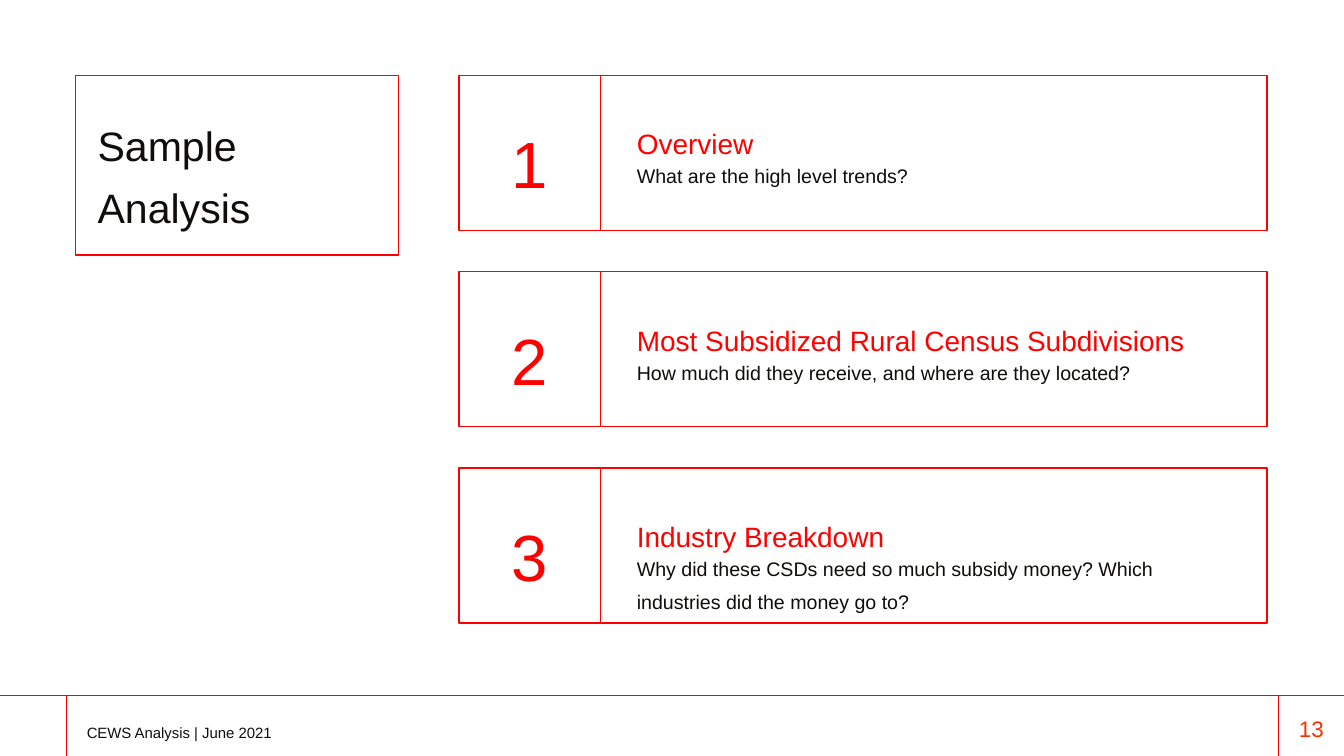
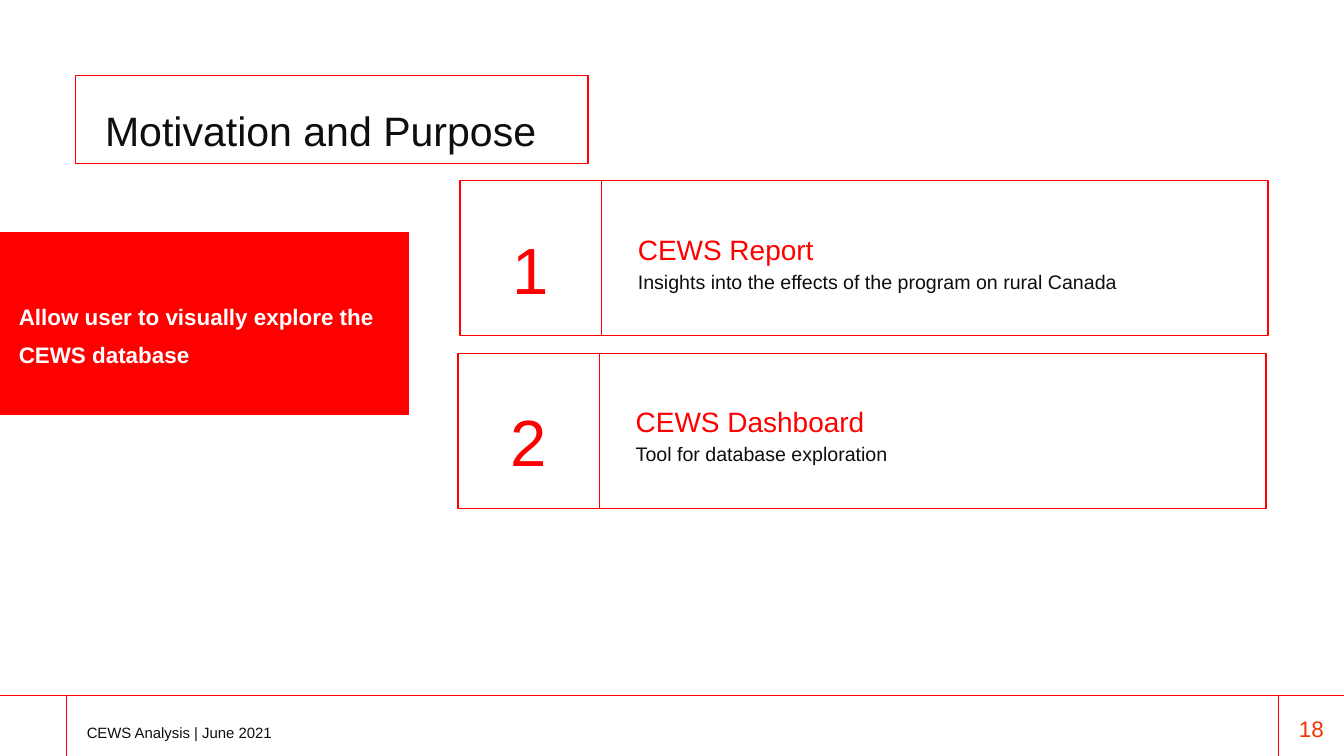
from dataclasses import dataclass

from lxml import etree
from pptx import Presentation
from pptx.dml.color import RGBColor
from pptx.enum.shapes import MSO_CONNECTOR, MSO_SHAPE
from pptx.enum.text import MSO_AUTO_SIZE, PP_ALIGN
from pptx.oxml.ns import qn
from pptx.util import Cm, Pt

# Shared look, lengths in centimetres
SLIDE_W, SLIDE_H = 50.8, 28.58
FONT = "Arial"
RED, ORANGE, INK, WHITE = "FF0000", "F43300", "0F0E0C", "FFFFFF"
FRAME_PT, RULE_PT = 1.75, 1.25
MARGIN = 2.85

# Card geometry
CARD_H, NUMBER_W, BODY_W = 5.86, 5.34, 25.2
TEXT_DX = 6.71

# Footer geometry
FOOTER_Y, FOOTER_LEFT, FOOTER_RIGHT = 26.28, 2.5, 48.32


@dataclass
class Title:
    text: str
    width: float
    height: float
    pad_x: float
    pad_y: float
    text_w: float
    text_h: float


@dataclass
class Card:
    heading: str
    detail: str
    detail_h: float = 0.9
    shift: float = 0


def color(value: str) -> RGBColor:
    return RGBColor.from_string(value)


def add_text(s, text: str, x: float, y: float, w: float, h: float, *, size: float,
             fill: str = INK, bold: bool = False, align=PP_ALIGN.LEFT, spacing: float = 1.0):
    tf = s.shapes.add_textbox(Cm(x), Cm(y), Cm(w), Cm(h)).text_frame
    tf.word_wrap = True
    tf.auto_size = MSO_AUTO_SIZE.SHAPE_TO_FIT_TEXT
    tf.margin_left = tf.margin_right = tf.margin_top = tf.margin_bottom = 0
    p = tf.paragraphs[0]
    p.alignment = align
    p.line_spacing = spacing
    r = p.add_run()
    r.text = text
    r.font.name, r.font.size, r.font.bold = FONT, Pt(size), bold
    r.font.color.rgb = color(fill)


def add_box(s, x: float, y: float, w: float, h: float, fill: str | None = None):
    """Red rectangle: an open frame unless a fill is given."""
    sp = s.shapes.add_shape(MSO_SHAPE.RECTANGLE, Cm(x), Cm(y), Cm(w), Cm(h))
    sp.shadow.inherit = False
    if fill:
        sp.fill.solid()
        sp.fill.fore_color.rgb = color(fill)
    else:
        sp.fill.background()
    sp.line.color.rgb = color(RED)
    sp.line.width = Pt(0.75 if fill else FRAME_PT)


def add_rule(s, x1: float, y1: float, x2: float, y2: float):
    line = s.shapes.add_connector(MSO_CONNECTOR.STRAIGHT, Cm(x1), Cm(y1), Cm(x2), Cm(y2))
    line.line.color.rgb = color(RED)
    line.line.width = Pt(RULE_PT)
    etree.SubElement(line._element.spPr, qn("a:effectLst"))


def add_title(s, title: Title):
    add_box(s, MARGIN, MARGIN, title.width, title.height)
    add_text(s, title.text, MARGIN + title.pad_x, MARGIN + title.pad_y,
             title.text_w, title.text_h, size=44, spacing=1.25)


def add_cards(s, cards: list[Card], x: float, y: float, pitch: float):
    for i, card in enumerate(cards):
        left, top = x + card.shift, y + i * pitch
        add_box(s, left + NUMBER_W, top, BODY_W, CARD_H)
        add_box(s, left, top, NUMBER_W, CARD_H)
        add_text(s, str(i + 1), left + 0.86, top + 1.82, 3.63, 3,
                 size=70, fill=RED, align=PP_ALIGN.CENTER)
        add_text(s, card.heading, left + TEXT_DX, top + 1.57, 22.45, 1.27,
                 size=30, fill=RED, spacing=1.3)
        add_text(s, card.detail, left + TEXT_DX, top + 3.01, 22.45, card.detail_h,
                 size=21, spacing=1.4)


def add_footer(s, number: int):
    add_rule(s, 0, FOOTER_Y, SLIDE_W, FOOTER_Y)
    for x in (FOOTER_LEFT, FOOTER_RIGHT):
        add_rule(s, x, FOOTER_Y, x, SLIDE_H)
    add_text(s, "CEWS Analysis | June 2021", 3.28, 27.08, 27.1, 0.71, size=16, spacing=1.4)
    add_text(s, str(number), 48.84, 27.03, 1.45, 1.02,
             size=24, fill=ORANGE, align=PP_ALIGN.CENTER)


def add_slide(prs, title: Title, number: int):
    s = prs.slides.add_slide(prs.slide_layouts[6])
    s.background.fill.solid()
    s.background.fill.fore_color.rgb = color(WHITE)
    add_title(s, title)
    add_footer(s, number)
    return s


def build_sample_analysis(prs):
    s = add_slide(prs, Title("Sample Analysis", 12.22, 6.78, 0.84, 1.24, 10.59, 4.24), 13)
    add_cards(s, [
        Card("Overview", "What are the high level trends?"),
        Card("Most Subsidized Rural Census Subdivisions",
             "How much did they receive, and where are they located?"),
        Card("Industry Breakdown",
             "Why did these CSDs need so much subsidy money? "
             "Which industries did the money go to?", detail_h=2.16),
    ], x=17.36, y=MARGIN, pitch=7.42)


def build_motivation(prs):
    s = add_slide(prs, Title("Motivation and Purpose", 19.38, 3.33, 1.12, 0.66, 17.35, 1.88), 18)
    # Red callout bleeding off the left edge
    add_box(s, -0.43, 8.79, 15.88, 6.86, fill=RED)
    add_text(s, "Allow user to visually explore the CEWS database", 0.71, 11.05, 13.59, 2.46,
             size=24, fill=WHITE, bold=True, spacing=1.4)
    add_cards(s, [
        Card("CEWS Report", "Insights into the effects of the program on rural Canada"),
        Card("CEWS Dashboard", "Tool for database exploration", shift=-0.08),
    ], x=17.4, y=6.83, pitch=6.53)


def main():
    prs = Presentation()
    prs.slide_width, prs.slide_height = Cm(SLIDE_W), Cm(SLIDE_H)
    build_sample_analysis(prs)
    build_motivation(prs)
    prs.save("out.pptx")


if __name__ == "__main__":
    main()
